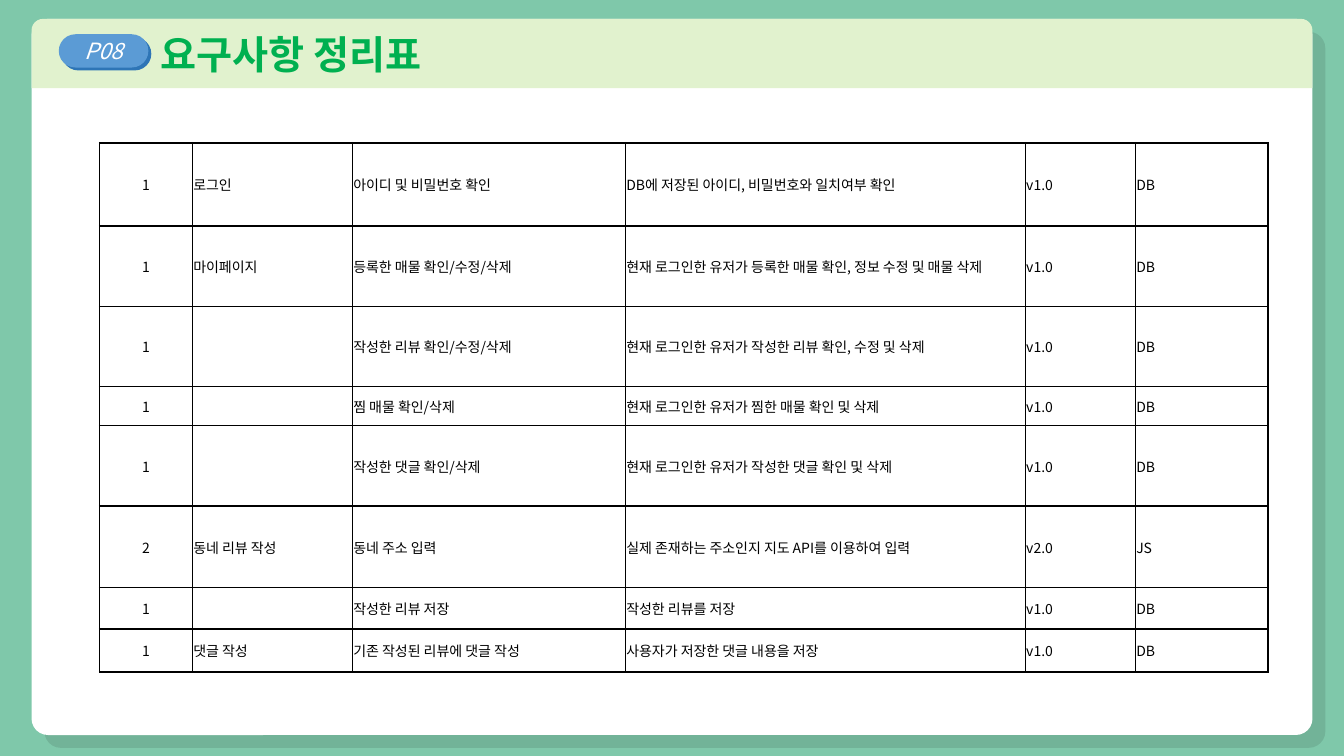
import pptx
import pptx.dml.color
import pptx.enum.shapes
import pptx.enum.text
import pptx.oxml
import pptx.oxml.ns
import pptx.util
from lxml import etree

Pt = pptx.util.Pt
SHAPES = pptx.enum.shapes.MSO_SHAPE
ALIGN = pptx.enum.text.PP_ALIGN
MIDDLE = pptx.enum.text.MSO_ANCHOR.MIDDLE
qn = pptx.oxml.ns.qn

# Content
TITLE = "요구사항 정리표"
BADGE = "P08"
ROWS = [
    ("1", "로그인", "아이디 및 비밀번호 확인",
     "DB에 저장된 아이디, 비밀번호와 일치여부 확인", "v1.0", "DB"),
    ("1", "마이페이지", "등록한 매물 확인/수정/삭제",
     "현재 로그인한 유저가 등록한 매물 확인, 정보 수정 및 매물 삭제", "v1.0", "DB"),
    ("1", "", "작성한 리뷰 확인/수정/삭제",
     "현재 로그인한 유저가 작성한 리뷰 확인, 수정 및 삭제", "v1.0", "DB"),
    ("1", "", "찜 매물 확인/삭제",
     "현재 로그인한 유저가 찜한 매물 확인 및 삭제", "v1.0", "DB"),
    ("1", "", "작성한 댓글 확인/삭제",
     "현재 로그인한 유저가 작성한 댓글 확인 및 삭제", "v1.0", "DB"),
    ("2", "동네 리뷰 작성", "동네 주소 입력",
     "실제 존재하는 주소인지 지도 API를 이용하여 입력", "v2.0", "JS"),
    ("1", "", "작성한 리뷰 저장", "작성한 리뷰를 저장", "v1.0", "DB"),
    ("1", "댓글 작성", "기존 작성된 리뷰에 댓글 작성",
     "사용자가 저장한 댓글 내용을 저장", "v1.0", "DB"),
]

# Layout and style
FONT = "Noto Sans CJK KR"
CARD_LEFT, CARD_TOP, CARD_WIDTH, CARD_HEIGHT = 22.5, 13.5, 915, 511.5
BAND_HEIGHT = 49.5
TITLE_INDENT = 85
TABLE_LEFT, TABLE_TOP = 71, 102
COLUMN_WIDTHS = [66.4, 114.3, 195, 285.7, 78.6, 95]
ROW_HEIGHTS = [59.2, 57.5, 57.1, 27.9, 57.9, 57.9, 29.6, 30.9]
THICK_ROW_EDGES = {0, 1, 5, 7, 8}
COLUMN_EDGES = [1, 0.5, 0.5, 0.5, 0.5, 0.5, 1.5]


def color(value):
    return pptx.dml.color.RGBColor.from_string(value)


def format_text(paragraph, size, text_color, alignment=ALIGN.LEFT, bold=False, italic=False):
    paragraph.alignment = alignment
    for run in paragraph.runs:
        run.font.size = Pt(size)
        run.font.bold = bold
        run.font.italic = italic
        run.font.color.rgb = color(text_color)
        run.font.name = FONT
        east_asian = etree.SubElement(run.font._element, qn("a:ea"))
        east_asian.set("typeface", FONT)


def add_box(slide, kind, box, fill):
    shape = slide.shapes.add_shape(kind, *[Pt(length) for length in box])
    shape.shadow.inherit = False
    shape.fill.solid()
    shape.fill.fore_color.rgb = color(fill)
    shape.line.fill.background()
    return shape


def add_shadow(shape, shadow_color, opacity, distance):
    effects = shape._element.spPr.find(qn("a:effectLst"))
    shadow = etree.SubElement(effects, qn("a:outerShdw"), blurRad="0", dist=str(Pt(distance)),
                              dir="2700000", algn="tl", rotWithShape="0")
    shade = etree.SubElement(shadow, qn("a:srgbClr"), val=shadow_color)
    etree.SubElement(shade, qn("a:alpha"), val=str(opacity * 1000))


def set_borders(cell, widths):
    properties = cell._tc.get_or_add_tcPr()
    for position, (side, width) in enumerate(zip(("lnL", "lnR", "lnT", "lnB"), widths)):
        line = etree.Element(qn("a:" + side), w=str(Pt(width)))
        fill = etree.SubElement(line, qn("a:solidFill"))
        etree.SubElement(fill, qn("a:srgbClr"), val="000000")
        properties.insert(position, line)


def row_edge(index):
    return 1.5 if index in THICK_ROW_EDGES else 0.5


def add_header(slide):
    # White card with its green heading band
    card = add_box(slide, SHAPES.ROUNDED_RECTANGLE,
                   (CARD_LEFT, CARD_TOP, CARD_WIDTH, CARD_HEIGHT), "FFFFFF")
    card.adjustments[0] = 0.023
    add_shadow(card, "000000", 10, 13)
    add_box(slide, SHAPES.ROUND_2_SAME_RECTANGLE,
            (CARD_LEFT, CARD_TOP, CARD_WIDTH, BAND_HEIGHT), "E1F2CE")

    # Page badge
    badge = add_box(slide, SHAPES.ROUNDED_RECTANGLE, (42, 24.5, 64, 23.75), "5B9BD5")
    badge.adjustments[0] = 0.5
    add_shadow(badge, "2E75B6", 100, 3)
    badge.text_frame.text = BADGE
    badge.text_frame.vertical_anchor = MIDDLE
    format_text(badge.text_frame.paragraphs[0], 16, "FFFFFF", ALIGN.CENTER, italic=True)

    # Title, brought in front of the band
    title = slide.shapes.title
    title.left, title.top = Pt(CARD_LEFT + TITLE_INDENT), Pt(CARD_TOP)
    title.width, title.height = Pt(CARD_WIDTH - TITLE_INDENT), Pt(BAND_HEIGHT)
    title.text_frame.text = TITLE
    title.text_frame.vertical_anchor = MIDDLE
    title.text_frame.auto_size = pptx.enum.text.MSO_AUTO_SIZE.NONE
    format_text(title.text_frame.paragraphs[0], 28, "00B050", bold=True)
    slide.shapes._spTree.append(title._element)


def add_requirements(slide):
    frame = slide.shapes.add_table(len(ROWS), len(COLUMN_WIDTHS), Pt(TABLE_LEFT), Pt(TABLE_TOP),
                                   Pt(sum(COLUMN_WIDTHS)), Pt(sum(ROW_HEIGHTS)))
    table = frame.table
    table.first_row = table.horz_banding = False
    for column, width in zip(table.columns, COLUMN_WIDTHS):
        column.width = Pt(width)
    for row, height in zip(table.rows, ROW_HEIGHTS):
        row.height = Pt(height)

    for row_index, values in enumerate(ROWS):
        for column_index, value in enumerate(values):
            cell = table.cell(row_index, column_index)
            cell.fill.background()
            cell.margin_left = cell.margin_right = cell.margin_top = Pt(0.7)
            cell.margin_bottom = 0
            cell.vertical_anchor = MIDDLE
            set_borders(cell, (COLUMN_EDGES[column_index], COLUMN_EDGES[column_index + 1],
                               row_edge(row_index), row_edge(row_index + 1)))
            if value:
                cell.text_frame.text = value
                alignment = ALIGN.CENTER if column_index == 0 else ALIGN.LEFT
                format_text(cell.text_frame.paragraphs[0], 10, "000000", alignment)


def main():
    presentation = pptx.Presentation()
    presentation.slide_width, presentation.slide_height = Pt(960), Pt(540)
    slide = presentation.slides.add_slide(presentation.slide_layouts.get_by_name("Title Only"))
    slide.background.fill.solid()
    slide.background.fill.fore_color.rgb = color("7FC8AA")
    add_header(slide)
    add_requirements(slide)
    presentation.save("out.pptx")


if __name__ == "__main__":
    main()
